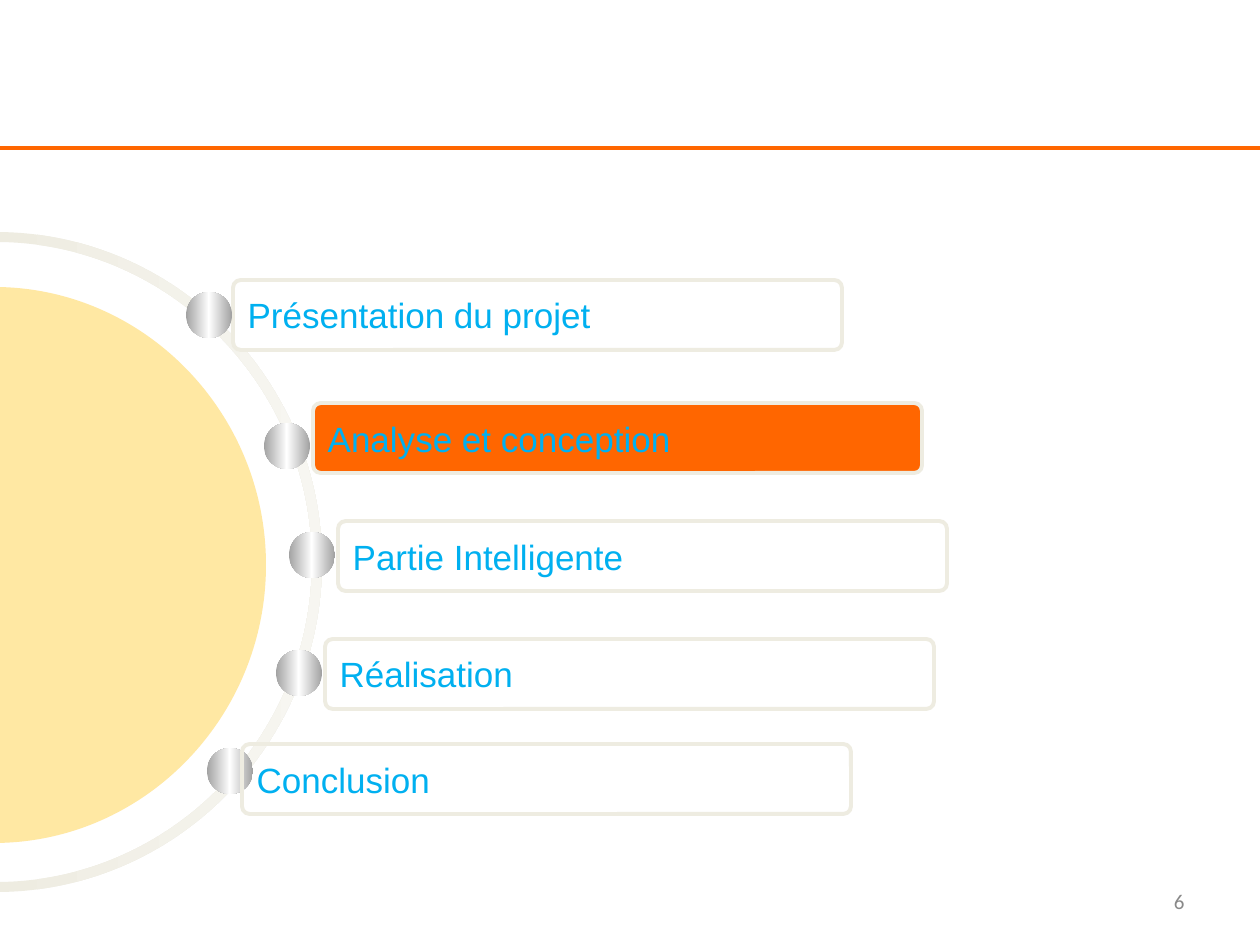
from lxml import etree
from pptx import Presentation
from pptx.dml.color import RGBColor
from pptx.enum.shapes import MSO_CONNECTOR, MSO_SHAPE
from pptx.enum.text import MSO_ANCHOR, PP_ALIGN
from pptx.oxml.ns import qn
from pptx.util import Pt

ROUND_RECT = MSO_SHAPE.ROUNDED_RECTANGLE
OVAL = MSO_SHAPE.OVAL
STRAIGHT = MSO_CONNECTOR.STRAIGHT
MIDDLE = MSO_ANCHOR.MIDDLE
LEFT, RIGHT = PP_ALIGN.LEFT, PP_ALIGN.RIGHT

ORANGE, CREAM, PALE = "FF6600", "EEECE1", "F7F6F1"
AGENDA = [
    ("Présentation du projet", (233, 280), (186, 292), "FFFFFF"),
    ("Analyse et conception", (313, 403), (264, 423), ORANGE),
    ("Partie Intelligente", (338, 521), (289, 532), None),
    ("Réalisation", (325, 639), (276, 650), None),
    ("Conclusion", (242, 744), (207, 748), None),
]
BAR_W, BAR_H, BALL = 609, 70, 46
BALL_STOPS = [(0, "A2A2A2"), (50, "FFFFFF"), (100, "A2A2A2")]
RING_STOPS = [(0, CREAM), (100, PALE)]
RING_CENTRE, RING_OUTER, RING_INNER = (-4, 562), (326, 330), (316, 320)
DISC_CENTRE, DISC_RADII = (-6, 565), (272, 278)
BEND = 0.55
ITEM_FONT = {"name": "Arial", "size": Pt(20)}
NUMBER_FONT = {"name": "Calibri", "size": Pt(12)}


def px(n):
    return round(n * 914400 / 126)


def rgb(color):
    return RGBColor.from_string(color)


def style(shape, fill=None, line=None):
    shape.shadow.inherit = False
    if fill:
        shape.fill.solid()
        shape.fill.fore_color.rgb = rgb(fill)
    else:
        shape.fill.background()
    if line:
        shape.line.color.rgb = rgb(line)
        shape.line.width = Pt(2.25)
    else:
        shape.line.fill.background()


def add_gradient(shape, stops):
    shape.fill.gradient()
    shape.fill.gradient_angle = 0
    stop_list = shape._element.spPr.find(".//" + qn("a:gsLst"))
    for old in list(stop_list):
        stop_list.remove(old)
    for position, color in stops:
        stop = etree.SubElement(stop_list, qn("a:gs"), pos=str(position * 1000))
        etree.SubElement(stop, qn("a:srgbClr"), val=color)


def write(shape, text, font, color, align):
    tf = shape.text_frame
    tf.word_wrap = True
    tf.vertical_anchor = MIDDLE
    p = tf.paragraphs[0]
    p.alignment = align
    r = p.add_run()
    r.text = text
    for name, value in font.items():
        setattr(r.font, name, value)
    r.font.color.rgb = rgb(color)


def half_ellipse(centre, radii):
    units = [(0, -1), (BEND, -1), (1, -BEND), (1, 0), (1, BEND), (BEND, 1), (0, 1)]
    return [(px(centre[0] + radii[0] * x), px(centre[1] + radii[1] * y))
            for x, y in units]


def add_curved_outline(s, *arcs):
    points = [point for arc in arcs for point in arc]
    builder = s.shapes.build_freeform(*points[0], scale=1.0)
    builder.add_line_segments(points[1:], close=True)
    shape = builder.convert_to_shape()
    segments = list(shape._element.spPr.iter(qn("a:lnTo")))
    for arc_start in range(0, len(points), 7):
        for first in (arc_start, arc_start + 3):
            curve = etree.Element(qn("a:cubicBezTo"))
            segments[first].addprevious(curve)
            for segment in segments[first:first + 3]:
                curve.append(segment[0])
                segment.getparent().remove(segment)
    return shape


def add_ball(s, at):
    ball = s.shapes.add_shape(OVAL, *map(px, (*at, BALL, BALL)))
    style(ball)
    add_gradient(ball, BALL_STOPS)


def add_bar(s, text, at, fill):
    bar = s.shapes.add_shape(ROUND_RECT, *map(px, (*at, BAR_W, BAR_H)))
    bar.adjustments[0] = 0.11
    style(bar, fill, CREAM)
    write(bar, text, ITEM_FONT, "00B0F0", LEFT)


def main():
    prs = Presentation()
    prs.slide_width, prs.slide_height = px(1260), px(945)
    s = prs.slides.add_slide(prs.slide_layouts[6])

    number = s.shapes.add_textbox(px(903), px(876), px(294), px(50))
    write(number, "6", NUMBER_FONT, "898989", RIGHT)

    ring = add_curved_outline(s, half_ellipse(RING_CENTRE, RING_OUTER),
                              half_ellipse(RING_CENTRE, RING_INNER)[::-1])
    style(ring)
    add_gradient(ring, RING_STOPS)

    disc = add_curved_outline(s, half_ellipse(DISC_CENTRE, DISC_RADII))
    style(disc, "FFC000")
    disc_color = disc._element.spPr.find(".//" + qn("a:srgbClr"))
    etree.SubElement(disc_color, qn("a:alpha"), val="36000")

    rule = s.shapes.add_connector(STRAIGHT, 0, px(148), px(1260), px(148))
    rule.line.color.rgb = rgb(ORANGE)
    rule.line.width = Pt(2.25)
    etree.SubElement(rule._element.spPr, qn("a:effectLst"))

    for text, bar_at, ball_at, fill in AGENDA:
        if fill:
            add_bar(s, text, bar_at, fill)
            add_ball(s, ball_at)
        else:
            add_ball(s, ball_at)
            add_bar(s, text, bar_at, fill)

    prs.save("out.pptx")


if __name__ == "__main__":
    main()
